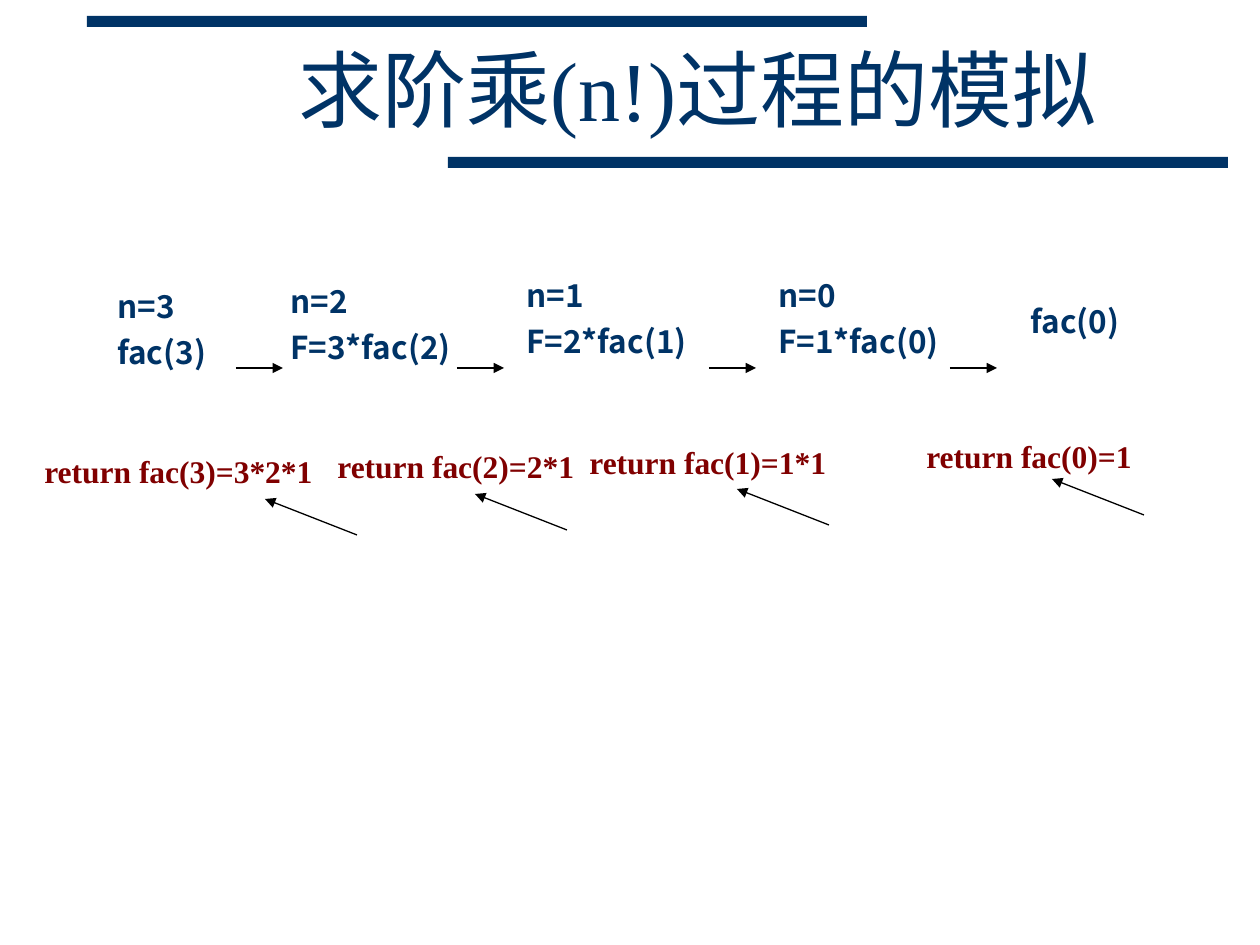
from lxml import etree
from pptx import Presentation
from pptx import util as u
from pptx.dml.color import RGBColor
from pptx.enum import shapes, text
from pptx.oxml.ns import qn

PX = 914400 / 126
NAVY, MAROON, BLACK = "003366", "800000", "000000"
SANS, SERIF = "Noto Sans CJK SC", "Times New Roman"


def color(hex_string):
    return RGBColor.from_string(hex_string)


def add_text(box, lines, *, size=18, fill=NAVY, bold=True, align="LEFT",
             anchor="TOP", fit="SHAPE_TO_FIT_TEXT", line_spacing=None):
    """Add a text box; each line is a list of (words, font) runs."""
    frame = slide.shapes.add_textbox(*[round(n * PX) for n in box]).text_frame
    frame.word_wrap = True
    frame.auto_size = text.MSO_AUTO_SIZE[fit]
    frame.vertical_anchor = text.MSO_ANCHOR[anchor]
    for index, runs in enumerate(lines):
        paragraph = frame.add_paragraph() if index else frame.paragraphs[0]
        paragraph.alignment = text.PP_ALIGN[align]
        paragraph.line_spacing = line_spacing
        if index:
            paragraph.space_before = u.Pt(4.5)
        for words, font_name in runs:
            run = paragraph.add_run()
            run.text = words
            run.font.size = u.Pt(size)
            run.font.bold = bold
            run.font.color.rgb = color(fill)
            run.font.name = font_name
            east_asian = etree.SubElement(run.font._element, qn("a:ea"))
            east_asian.set("typeface", SANS)


presentation = Presentation()
presentation.slide_width, presentation.slide_height = u.Inches(10), u.Inches(7.5)
slide = presentation.slides.add_slide(presentation.slide_layouts[6])

# Title between two bars
for left, top in [(87, 16), (448, 157)]:
    bar = slide.shapes.add_shape(shapes.MSO_SHAPE.RECTANGLE,
                                 *[round(n * PX) for n in (left, top, 780, 11)])
    bar.shadow.inherit = False
    bar.fill.solid()
    bar.fill.fore_color.rgb = color(NAVY)
    bar.line.fill.background()

add_text((189, 33, 1017, 126),
         [[("求阶乘", "Arial"), ("(n!)", SERIF), ("过程的模拟", "Arial")]],
         size=48, bold=False, align="CENTER", anchor="MIDDLE", fit="NONE",
         line_spacing=0.85)

# Arrows: calls run to the right, returns point up to the left
call_arrows = [(x, 368, x + 47, 368) for x in (236, 457, 709, 950)]
return_arrows = [(x, y, x - 92, y - 36)
                 for x, y in [(1144, 515), (829, 525), (567, 530), (357, 535)]]
for ends in call_arrows + return_arrows:
    arrow = slide.shapes.add_connector(shapes.MSO_CONNECTOR.STRAIGHT,
                                       *[round(n * PX) for n in ends])
    arrow.line.color.rgb = color(BLACK)
    arrow.line.width = u.Pt(0.75)
    etree.SubElement(arrow.line._get_or_add_ln(), qn("a:tailEnd")).set("type", "triangle")
    etree.SubElement(arrow._element.spPr, qn("a:effectLst"))

# Recursive calls
calls = [
    (105, 281, 168, ["n=3", "fac(3)"]),
    (278, 276, 220, ["n=2", "F=3*fac(2)"]),
    (514, 270, 220, ["n=1", "F=2*fac(1)"]),
    (766, 270, 220, ["n=0", "F=1*fac(0)"]),
    (1018, 296, 220, ["fac(0)"]),
]
for left, top, width, lines in calls:
    height = 107 if len(lines) == 2 else 50
    add_text((left, top, width, height), [[(line, SANS)] for line in lines])

# Returned values
returns = [
    (32, 446, "return fac(3)=3*2*1"),
    (325, 441, "return fac(2)=2*1"),
    (577, 437, "return fac(1)=1*1"),
    (914, 431, "return fac(0)=1"),
]
for left, top, words in returns:
    add_text((left, top, 325, 50), [[(words, SERIF)]], fill=MAROON)

presentation.save("out.pptx")
